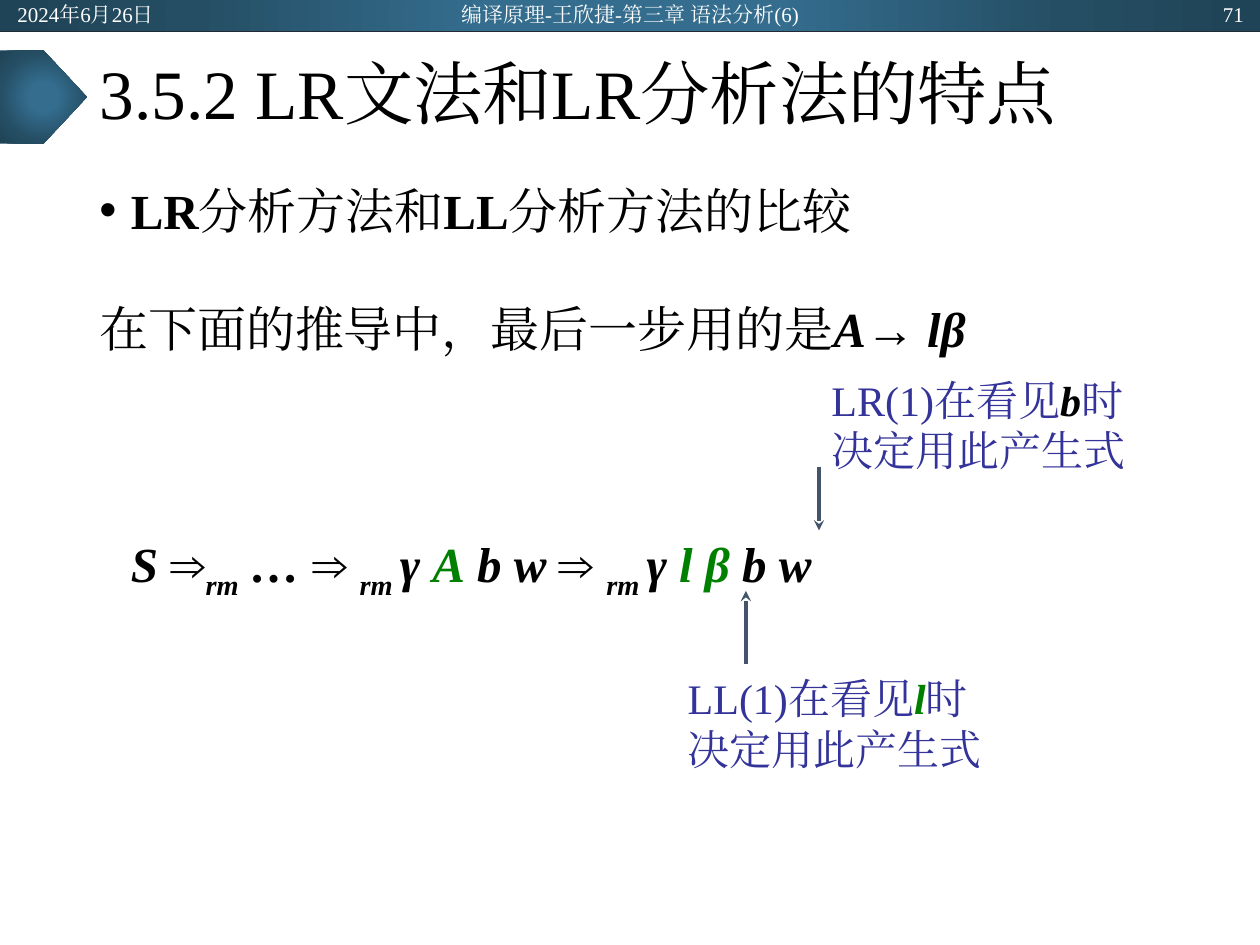
from dataclasses import dataclass

from lxml.etree import SubElement
from pptx import Presentation
from pptx.dml.color import RGBColor
from pptx.enum.shapes import MSO_CONNECTOR as Connector, MSO_SHAPE as Preset
from pptx.enum.text import MSO_ANCHOR as Anchor, PP_ALIGN as Align
from pptx.oxml import parse_xml
from pptx.oxml.ns import nsdecls, qn
from pptx.util import Emu, Inches, Pt

# The slide is a grid of 100 columns and 75 rows.
COLUMNS, ROWS = 100, 75
CELL = Inches(10) // COLUMNS

FONT = "Times New Roman"
BLACK = RGBColor(0x00, 0x00, 0x00)
WHITE = RGBColor(0xFF, 0xFF, 0xFF)
GREEN = RGBColor(0x00, 0x80, 0x00)
INDIGO = RGBColor(0x33, 0x33, 0x99)
SLATE = RGBColor(0x44, 0x54, 0x6A)
NAVY = RGBColor(0x22, 0x2A, 0x35)
BLUE_STOPS = ((0, "346D8E"), (23, "346D8E"), (69, "254E64"), (97, "204457"))


@dataclass(frozen=True)
class Area:
    left: float
    top: float
    width: float
    height: float

    def lengths(self) -> list[Emu]:
        return [cells(n) for n in (self.left, self.top, self.width, self.height)]


@dataclass(frozen=True)
class Run:
    text: str
    bold: bool = False
    italic: bool = False
    color: RGBColor | None = None
    subscript: bool = False


@dataclass(frozen=True)
class Callout:
    area: Area
    method: str
    symbol: str
    symbol_color: RGBColor


@dataclass(frozen=True)
class Arrow:
    column: float
    start_row: float
    end_row: float


def cells(count: float) -> Emu:
    return Emu(round(count * CELL))


def term(text: str, color: RGBColor | None = None) -> Run:
    return Run(text, bold=True, italic=True, color=color)


def write(paragraph, content: str | list[Run], *, size: float, color: RGBColor = BLACK,
          align: Align = Align.LEFT, before: float = 0, line_spacing: float = 1.0,
          indent: float = 0, bullet: str = "") -> None:
    paragraph.alignment = align
    paragraph.space_before = Pt(before)
    paragraph.line_spacing = line_spacing
    properties = paragraph._p.get_or_add_pPr()
    properties.set("marL", str(cells(indent)))
    properties.set("indent", str(-cells(indent) if bullet else 0))
    if bullet:
        SubElement(properties, qn("a:buFont")).set("typeface", "Arial")
        SubElement(properties, qn("a:buChar")).set("char", bullet)
    for part in [Run(content)] if isinstance(content, str) else content:
        run = paragraph.add_run()
        run.text = part.text
        font = run.font
        font.name, font.size = FONT, Pt(size)
        font.bold, font.italic = part.bold, part.italic
        font.color.rgb = part.color or color
        run_properties = run._r.get_or_add_rPr()
        SubElement(run_properties, qn("a:ea")).set("typeface", FONT)
        if part.subscript:
            run_properties.set("baseline", "-25000")


def add_text_frame(slide, area: Area, anchor: Anchor = Anchor.TOP):
    frame = slide.shapes.add_textbox(*area.lengths()).text_frame
    frame.word_wrap = True
    frame.vertical_anchor = anchor
    return frame


def add_glow_shape(slide, preset: Preset, area: Area) -> None:
    """Add a shape whose fill is brightest in the middle."""
    shape = slide.shapes.add_shape(preset, *area.lengths())
    shape.shadow.inherit = False
    shape.line.fill.background()
    stops = "".join(f'<a:gs pos="{share * 1000}"><a:srgbClr val="{color}"/></a:gs>'
                    for share, color in BLUE_STOPS)
    gradient = parse_xml(
        f'<a:gradFill {nsdecls("a")} rotWithShape="1"><a:gsLst>{stops}</a:gsLst>'
        '<a:path path="circle"><a:fillToRect l="50000" t="50000" r="50000" b="50000"/>'
        '</a:path></a:gradFill>')
    shape._element.spPr.find(qn("a:prstGeom")).addnext(gradient)


def add_line(slide, start: tuple[float, float], end: tuple[float, float],
             color: RGBColor, width: float, arrowhead: bool = False) -> None:
    points = [cells(n) for n in (*start, *end)]
    connector = slide.shapes.add_connector(Connector.STRAIGHT, *points)
    connector.line.color.rgb = color
    connector.line.width = Pt(width)
    if arrowhead:
        SubElement(connector.line._get_or_add_ln(), qn("a:tailEnd")).set("type", "stealth")
    SubElement(connector._element.spPr, qn("a:effectLst"))


def add_header(slide) -> None:
    add_glow_shape(slide, Preset.RECTANGLE, Area(0, 0, COLUMNS, 2.5))
    add_line(slide, (0, 2.5), (COLUMNS, 2.5), NAVY, 0.5)
    for left, width, align, text in (
        (0.4, 22.5, Align.LEFT, "2024年6月26日"),
        (33.1, 33.8, Align.CENTER, "编译原理-王欣捷-第三章 语法分析(6)"),
        (77.2, 22.5, Align.RIGHT, "71"),
    ):
        frame = add_text_frame(slide, Area(left, 0.1, width, 2), Anchor.MIDDLE)
        write(frame.paragraphs[0], text, size=12, color=WHITE, align=align)


def add_title(slide) -> None:
    add_glow_shape(slide, Preset.PENTAGON, Area(0, 4, 6.9, 7.4))
    title = slide.shapes.title
    title.left, title.top, title.width, title.height = Area(6.9, 2.5, 86.2, 10.4).lengths()
    title.text_frame.vertical_anchor = Anchor.MIDDLE
    write(title.text_frame.paragraphs[0], "3.5.2 LR文法和LR分析法的特点",
          size=39.6, line_spacing=0.9)


def add_body(slide) -> None:
    arrow = Run("⇒", bold=True)
    rightmost = Run("rm", bold=True, italic=True, subscript=True)
    spaced_arrow = [Run("⇒ ", bold=True), Run("rm ", bold=True, italic=True, subscript=True)]
    comparison = [Run("LR", bold=True), Run("分析方法和"),
                  Run("LL", bold=True), Run("分析方法的比较")]
    last_step = [Run("在下面的推导中，最后一步用的是"), term("A"),
                 Run("→ ", bold=True), term("lβ")]
    derivation = [term("S "), arrow, rightmost, term(" … "), *spaced_arrow,
                  term("γ "), term("A", GREEN), term(" b w "), *spaced_arrow,
                  term("γ "), term("l β", GREEN), term(" b w")]

    frame = add_text_frame(slide, Area(6.9, 13.8, 86.2, 53.8))
    write(frame.paragraphs[0], comparison, size=28, indent=2.5, bullet="•")
    write(frame.add_paragraph(), last_step, size=28, before=34)
    write(frame.add_paragraph(), derivation, size=28, before=101, indent=2.5)


def add_callout(slide, callout: Callout) -> None:
    content = [Run(f"{callout.method}在看见"), term(callout.symbol, callout.symbol_color),
               Run("时决定用此产生式")]
    frame = add_text_frame(slide, callout.area)
    write(frame.paragraphs[0], content, size=24, color=INDIGO)


def main() -> None:
    presentation = Presentation()
    presentation.slide_width, presentation.slide_height = cells(COLUMNS), cells(ROWS)
    slide = presentation.slides.add_slide(presentation.slide_layouts[5])
    add_header(slide)
    add_title(slide)
    add_body(slide)
    for arrow in (Arrow(65, 37.1, 42.1), Arrow(59.2, 52.7, 46.9)):
        add_line(slide, (arrow.column, arrow.start_row), (arrow.column, arrow.end_row),
                 SLATE, 2, arrowhead=True)
    for callout in (Callout(Area(53.6, 52.9, 25.8, 9.1), "LL(1)", "l", GREEN),
                    Callout(Area(65, 29.2, 25.8, 9.1), "LR(1)", "b", BLACK)):
        add_callout(slide, callout)
    presentation.save("out.pptx")


if __name__ == "__main__":
    main()
